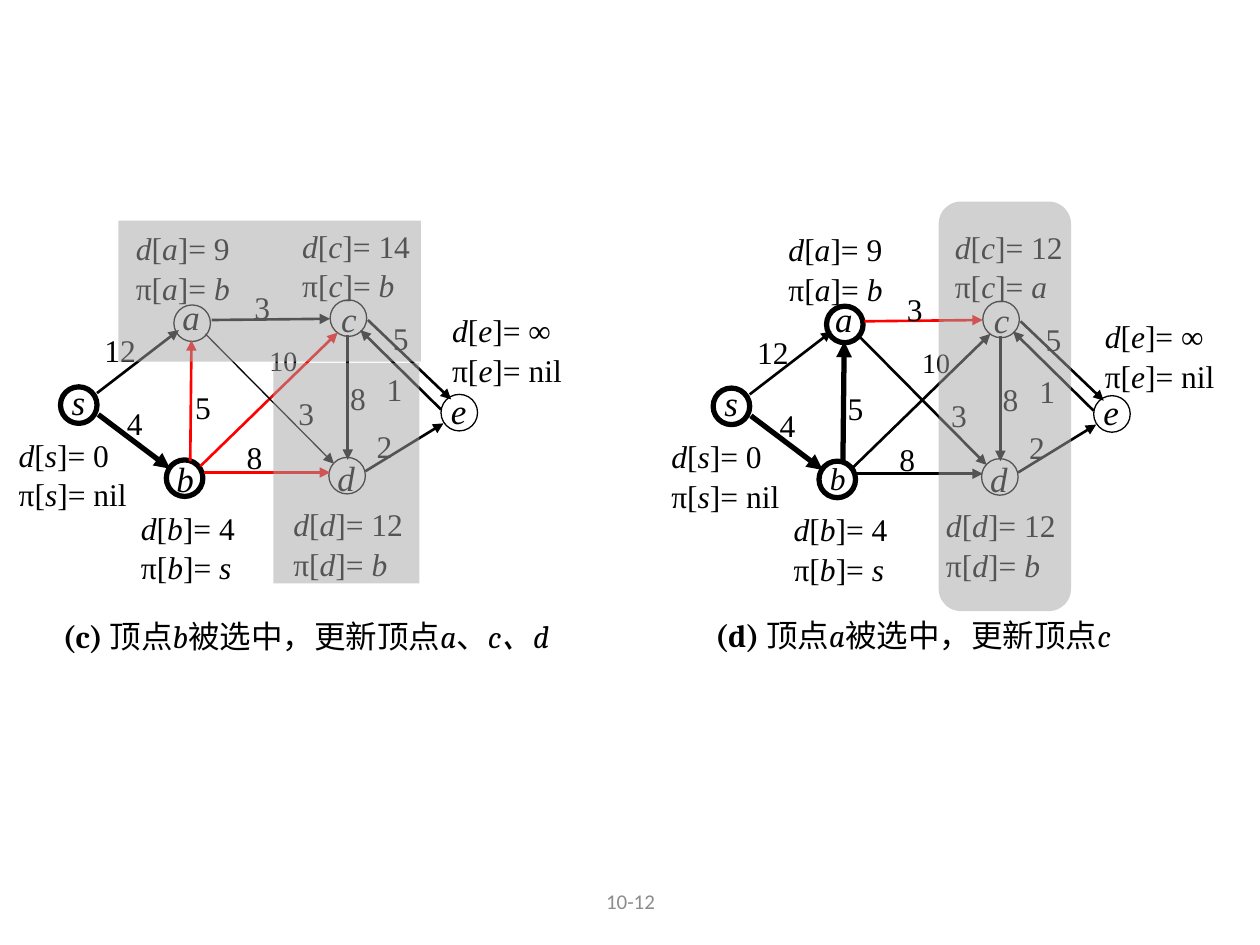
from dataclasses import dataclass, field

from lxml import etree
from pptx import Presentation
from pptx import util as u
from pptx.dml.color import RGBColor
from pptx.enum import shapes, text
from pptx.oxml.ns import qn

BLACK = RGBColor(0x00, 0x00, 0x00)
RED = RGBColor(0xFF, 0x00, 0x00)
GRAY = RGBColor(0xA6, 0xA6, 0xA6)
FOOTER_GRAY = RGBColor(0x8C, 0x8C, 0x8C)

COLUMNS, ROWS = 1000, 750
CELL = u.Inches(10) // COLUMNS
NODE_SIZE = 29
THIN, NORMAL, THICK = 0.75, 1.5, 3


@dataclass(frozen=True)
class Box:
    column: float
    row: float
    width: float
    height: float

    def moved(self, columns: float, rows: float) -> "Box":
        return Box(self.column + columns, self.row + rows, self.width, self.height)

    def lengths(self) -> tuple:
        return tuple(round(value * CELL) for value in (self.column, self.row, self.width, self.height))


@dataclass(frozen=True)
class Node:
    column: int
    row: int
    label: Box
    centered: bool = False


@dataclass(frozen=True)
class Edge:
    start: tuple[int, int]
    end: tuple[int, int]
    weight: str
    weight_box: Box
    size: int = 18


@dataclass(frozen=True)
class Panel:
    column: int
    row: int
    distances: dict[str, tuple[str, str]]
    chosen: str
    caption: str
    lead: str
    caption_row: int
    e_state_row: int
    edge_styles: dict[str, tuple[RGBColor, float]]
    label_sizes: dict[str, int] = field(default_factory=dict)


NODES = {
    "a": Node(138, 242, Box(135, 230, 46, 37)),
    "b": Node(132, 365, Box(130, 358, 34, 40), centered=True),
    "s": Node(48, 307, Box(47, 297, 46, 37)),
    "c": Node(262, 238, Box(261, 231, 46, 37)),
    "d": Node(261, 363, Box(258, 357, 46, 37)),
    "e": Node(350, 313, Box(347, 304, 34, 37), centered=True),
}

EDGES = {
    "ac": Edge((168, 254), (262, 253), "3", Box(192, 224, 57, 37)),
    "bd": Edge((162, 375), (262, 375), "8", Box(186, 343, 46, 37)),
    "cd": Edge((276, 266), (276, 365), "8", Box(268, 296, 46, 37)),
    "sa": Edge((77, 312), (142, 262), "12", Box(73, 258, 58, 37)),
    "sb": Edge((78, 329), (135, 372), "4", Box(91, 316, 46, 37)),
    "ce": Edge((292, 254), (358, 317), "5", Box(302, 248, 46, 37)),
    "de": Edge((290, 374), (352, 336), "2", Box(289, 334, 46, 37)),
    "bc": Edge((159, 370), (268, 264), "10", Box(204, 268, 54, 37), size=16),
    "ad": Edge((163, 265), (265, 368), "3", Box(227, 308, 46, 37)),
    "ec": Edge((350, 325), (286, 262), "1", Box(297, 289, 46, 37)),
    "ba": Edge((151, 366), (152, 270), "5", Box(145, 303, 46, 37)),
}

STATE_BOXES = {
    "a": Box(98, 177, 124, 72),
    "b": Box(102, 399, 125, 69),
    "c": Box(230, 175, 131, 70),
    "d": Box(223, 396, 127, 72),
    "e": Box(349, 0, 123, 72),
    "s": Box(5, 341, 114, 69),
}

SETTLED = {"a": ("9", "*b*"), "b": ("4", "*s*"), "d": ("12", "*b*"),
           "e": ("∞", "nil"), "s": ("0", "nil")}

PANELS = [
    Panel(518, 1, SETTLED | {"c": ("12", "*a*")}, "sba",
          "顶点*a*被选中，更新顶点*c*", "(d) ", 484, 247,
          {"ac": (RED, NORMAL), "sb": (BLACK, THICK), "ba": (BLACK, THICK)}, {"b": 18}),
    Panel(0, 0, SETTLED | {"c": ("14", "*b*")}, "sb",
          "顶点*b*被选中，更新顶点*a*、*c、d*", "(c) ", 485, 242,
          {"bd": (RED, NORMAL), "sb": (BLACK, THICK), "bc": (RED, NORMAL),
           "ad": (BLACK, THIN), "ba": (RED, NORMAL)}),
]

SHADES = [
    (shapes.MSO_SHAPE.RECTANGLE, Box(94, 175, 240, 112)),
    (shapes.MSO_SHAPE.RECTANGLE, Box(217, 288, 116, 175)),
    (shapes.MSO_SHAPE.ROUNDED_RECTANGLE, Box(745, 160, 105, 325)),
]


def add_text(slide, box: Box, content: str, *, size: int = 18, font: str = "Times New Roman",
             color: RGBColor = BLACK, centered: bool = False, middle: bool = False,
             lead: str = "", gap: float = 1) -> None:
    frame = slide.shapes.add_textbox(*box.lengths()).text_frame
    frame.word_wrap = True
    if middle:
        frame.vertical_anchor = text.MSO_ANCHOR.MIDDLE
    for index, line in enumerate(content.split("\n")):
        paragraph = frame.paragraphs[0] if index == 0 else frame.add_paragraph()
        paragraph.alignment = text.PP_ALIGN.CENTER if centered else text.PP_ALIGN.LEFT
        paragraph.space_before = u.Pt(gap if index else 0)
        pieces = [(lead, True, False)] if lead and index == 0 else []
        pieces += [(piece, False, place % 2 == 1) for place, piece in enumerate(line.split("*"))]
        for piece, bold, italic in pieces:
            if piece:
                run = paragraph.add_run()
                run.text = piece
                run.font.name, run.font.size = font, u.Pt(size)
                run.font.bold, run.font.italic = bold, italic
                run.font.color.rgb = color


def add_arrow(slide, panel: Panel, edge: Edge, color: RGBColor, width: float) -> None:
    points = [(column + panel.column, row + panel.row) for column, row in (edge.start, edge.end)]
    lengths = [value * CELL for point in points for value in point]
    arrow = slide.shapes.add_connector(shapes.MSO_CONNECTOR.STRAIGHT, *lengths)
    arrow.line.color.rgb = color
    arrow.line.width = u.Pt(width)
    etree.SubElement(arrow.line._get_or_add_ln(), qn("a:tailEnd"), type="triangle")
    etree.SubElement(arrow._element.spPr, qn("a:effectLst"))


def add_node(slide, panel: Panel, name: str, node: Node) -> None:
    add_text(slide, node.label.moved(panel.column, panel.row), f"*{name}*",
             size=panel.label_sizes.get(name, 20), centered=node.centered)
    box = Box(node.column, node.row, NODE_SIZE, NODE_SIZE).moved(panel.column, panel.row)
    circle = slide.shapes.add_shape(shapes.MSO_SHAPE.OVAL, *box.lengths())
    circle.shadow.inherit = False
    circle.fill.background()
    circle.line.color.rgb = BLACK
    circle.line.width = u.Pt(THICK if name in panel.chosen else THIN)


def add_panel(slide, panel: Panel) -> None:
    for name, (distance, parent) in panel.distances.items():
        box = STATE_BOXES[name].moved(panel.column, panel.e_state_row if name == "e" else panel.row)
        add_text(slide, box, f"*d*[*{name}*]= {distance}\nπ[*{name}*]= {parent}")
    for name, node in NODES.items():
        add_node(slide, panel, name, node)
    for name, edge in EDGES.items():
        add_arrow(slide, panel, edge, *panel.edge_styles.get(name, (BLACK, NORMAL)))
        add_text(slide, edge.weight_box.moved(panel.column, panel.row), edge.weight, size=edge.size)
    add_text(slide, Box(40 + panel.column, panel.caption_row, 419, 44), panel.caption,
             font="Cambria", lead=panel.lead)


def add_shade(slide, kind: shapes.MSO_SHAPE, box: Box) -> None:
    shade = slide.shapes.add_shape(kind, *box.lengths())
    shade.shadow.inherit = False
    shade.fill.solid()
    shade.fill.fore_color.rgb = GRAY
    shade.line.fill.background()
    color = shade._element.spPr.find(qn("a:solidFill"))[0]
    etree.SubElement(color, qn("a:alpha"), val="51000")


def main() -> None:
    presentation = Presentation()
    presentation.slide_width = COLUMNS * CELL
    presentation.slide_height = ROWS * CELL
    slide = presentation.slides.add_slide(presentation.slide_layouts[6])
    for panel in PANELS:
        add_panel(slide, panel)
    for kind, box in SHADES:
        add_shade(slide, kind, box)
    add_text(slide, Box(342, 695, 317, 40), "10-12", size=12, font="Calibri",
             color=FOOTER_GRAY, centered=True, middle=True)
    presentation.save("out.pptx")


if __name__ == "__main__":
    main()
